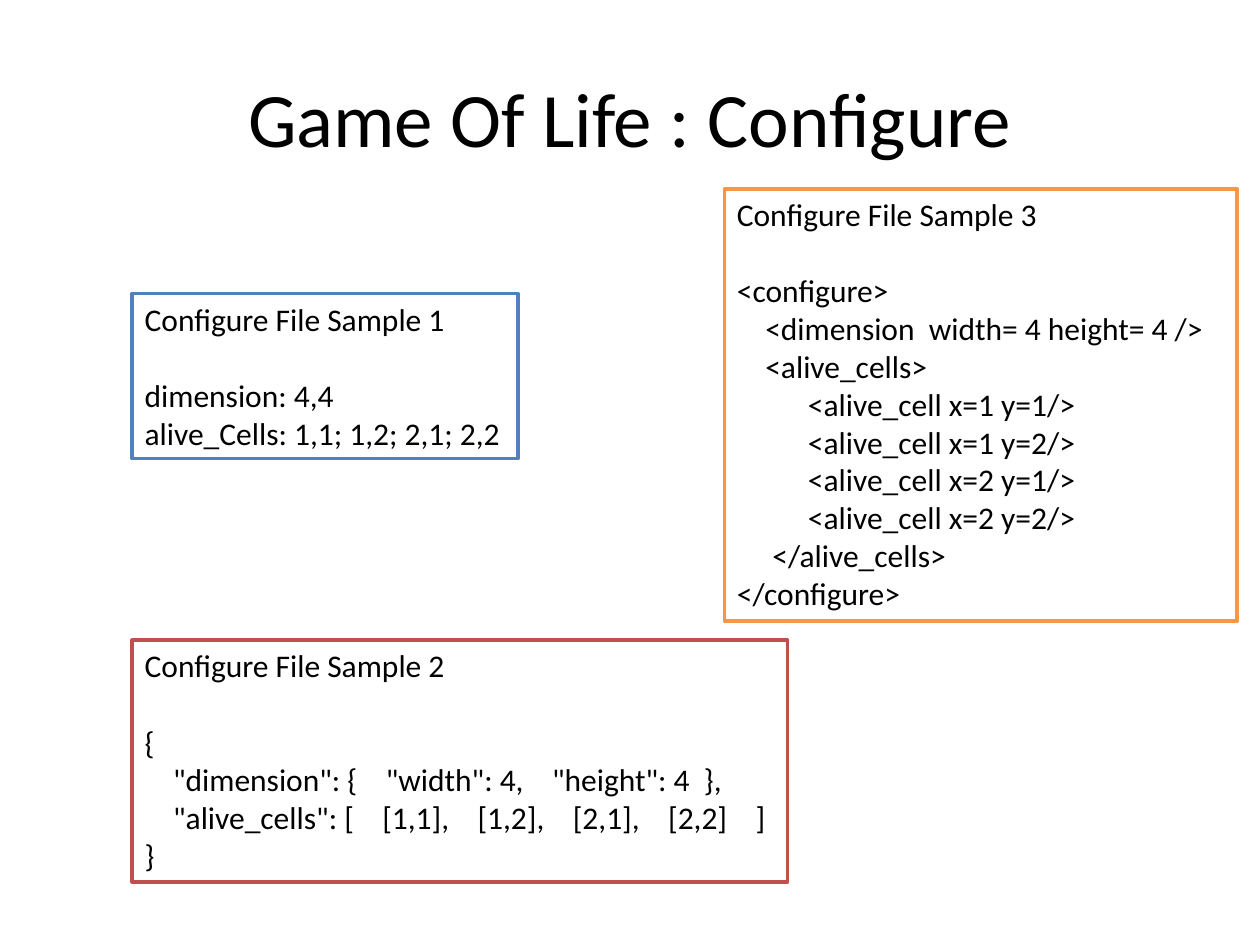
"""Build the Game Of Life configuration slide with three sample files."""
from pptx import Presentation
from pptx.dml.color import RGBColor
from pptx.enum.shapes import MSO_SHAPE
from pptx.enum.text import MSO_ANCHOR, MSO_AUTO_SIZE, PP_ALIGN
from pptx.util import Inches, Pt

RECTANGLE = MSO_SHAPE.RECTANGLE
TOP, MIDDLE = MSO_ANCHOR.TOP, MSO_ANCHOR.MIDDLE
FIT_SHAPE = MSO_AUTO_SIZE.SHAPE_TO_FIT_TEXT
LEFT, CENTER = PP_ALIGN.LEFT, PP_ALIGN.CENTER

WIDTH, HEIGHT = Inches(10), Inches(7.5)
LEFT_COLUMN, RIGHT_COLUMN = 1.05, 5.75
BLANK_LINE = Pt(22)


def color(hex_string):
    return RGBColor.from_string(hex_string)


def format_paragraph(paragraph, size, alignment):
    paragraph.alignment = alignment
    paragraph.font.size = Pt(size)
    for run in paragraph.runs:
        run.font.name = "Calibri"
        run.font.size = Pt(size)
        run.font.color.rgb = color("000000")


presentation = Presentation()
presentation.slide_width, presentation.slide_height = WIDTH, HEIGHT
slide = presentation.slides.add_slide(presentation.slide_layouts[5])

title = slide.shapes.title
title.left, title.top = int(WIDTH * 0.05), int(HEIGHT * 0.04)
title.width, title.height = int(WIDTH * 0.9), Inches(1.25)
title.text_frame.text = "Game Of Life : Configure"
title.text_frame.vertical_anchor = MIDDLE
format_paragraph(title.text_frame.paragraphs[0], 44, CENTER)

plain_sample = [
    "dimension: 4,4",
    "alive_Cells: 1,1; 1,2; 2,1; 2,2",
]
json_sample = [
    "{",
    '    "dimension": {    "width": 4,    "height": 4  },',
    '    "alive_cells": [    [1,1],    [1,2],    [2,1],    [2,2]    ]',
    "}",
]
xml_sample = [
    "<configure>",
    "    <dimension  width= 4 height= 4 />",
    "    <alive_cells>",
    *[f"          <alive_cell x={x} y={y}/>" for x in (1, 2) for y in (1, 2)],
    "     </alive_cells>",
    "</configure>",
]
samples = [
    (LEFT_COLUMN, 2.33, 3.06, 1.31, "4F81BD", plain_sample),
    (LEFT_COLUMN, 5.08, 5.2, 1.92, "C0504D", json_sample),
    (RIGHT_COLUMN, 1.5, 4.07, 3.43, "F79646", xml_sample),
]

for number, (left, top, width, height, outline, code) in enumerate(samples, 1):
    box = slide.shapes.add_shape(
        RECTANGLE, Inches(left), Inches(top), Inches(width), Inches(height)
    )
    box.shadow.inherit = False
    box.fill.solid()
    box.fill.fore_color.rgb = color("FFFFFF")
    box.line.color.rgb = color(outline)
    box.line.width = Pt(2)
    text_frame = box.text_frame
    text_frame.text = "\n".join([f"Configure File Sample {number}", *code])
    text_frame.word_wrap = False
    text_frame.auto_size = FIT_SHAPE
    text_frame.vertical_anchor = TOP
    for paragraph in text_frame.paragraphs:
        format_paragraph(paragraph, 18, LEFT)
    text_frame.paragraphs[0].space_after = BLANK_LINE

presentation.save("out.pptx")
